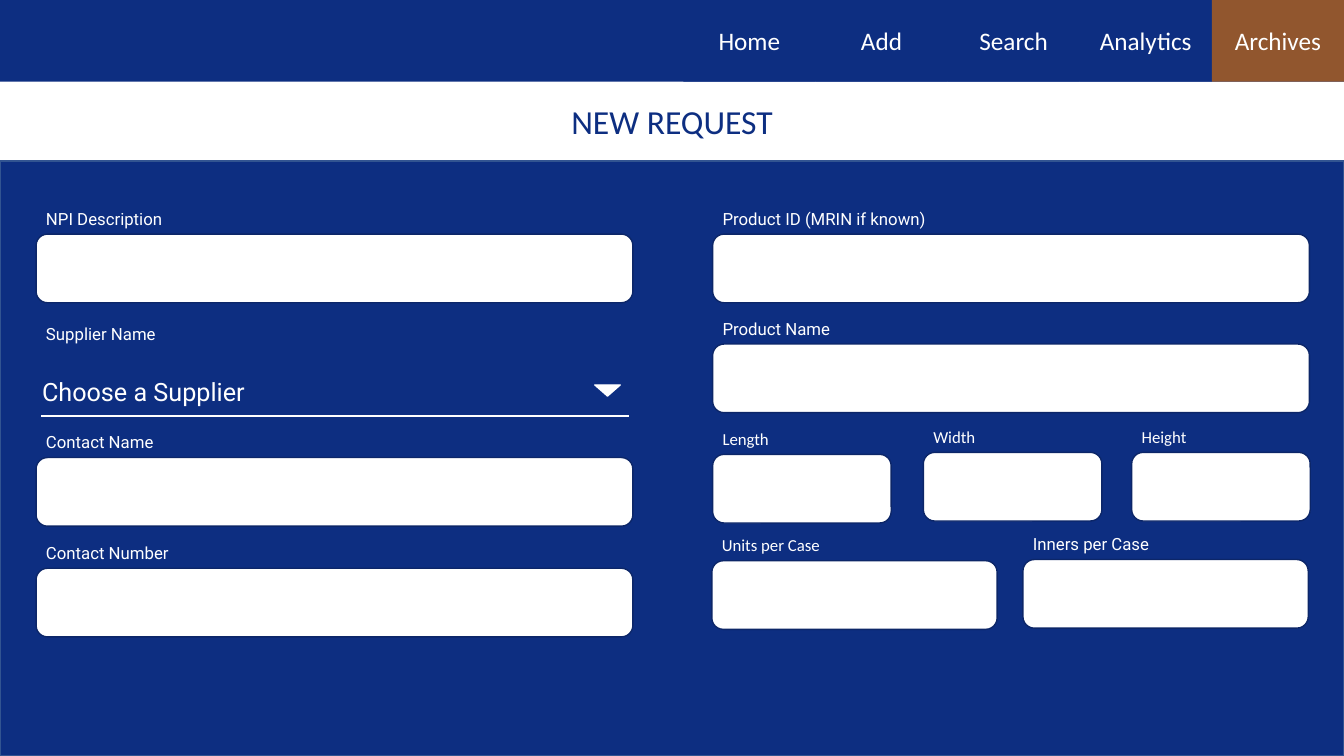
from dataclasses import dataclass

from pptx import Presentation
from pptx.dml.color import RGBColor
from pptx.enum.shapes import MSO_CONNECTOR as Connector, MSO_SHAPE as Shape
from pptx.enum.text import MSO_ANCHOR as Anchor, MSO_AUTO_SIZE as AutoSize, PP_ALIGN as Align
from pptx.oxml.xmlchemy import OxmlElement
from pptx.util import Cm, Pt

SLIDE_WIDTH, SLIDE_HEIGHT = 33.87, 19.05
NAV_WIDTH, NAV_HEIGHT = 3.33, 2.06
FORM_TOP = 4.06
LABEL_HEIGHT, INPUT_HEIGHT = 0.77, 1.73
LEFT_COLUMN, RIGHT_COLUMN = 0.91, 17.96
FULL, HALF, THIRD = 15.04, 7.19, 4.5


@dataclass(frozen=True)
class Theme:
    navy: str = "0D2E81"
    brown: str = "91562E"
    white: str = "FFFFFF"
    form_edge: str = "325491"
    input_edge: str = "0C2668"
    plain: str = "Calibri"
    form: str = "Roboto"
    label_size: int = 12
    nav_size: int = 18
    title_size: int = 24


class FormSlide:
    def __init__(self, slide, theme):
        self.slide = slide
        self.theme = theme

    def set_text(self, frame, text, size, font, color, align=Align.LEFT, **frame_format):
        frame_format = {"word_wrap": True, **frame_format}
        for name, value in frame_format.items():
            setattr(frame, name, value)
        paragraph = frame.paragraphs[0]
        paragraph.alignment = align
        run = paragraph.add_run()
        run.text = text
        for name, value in {"size": Pt(size), "name": font, "bold": False}.items():
            setattr(run.font, name, value)
        run.font.color.rgb = RGBColor.from_string(color)

    def title(self, text, *bounds):
        heading = self.slide.shapes.title
        for name, value in zip(("left", "top", "width", "height"), bounds):
            setattr(heading, name, Cm(value))
        self.set_text(heading.text_frame, text, self.theme.title_size, self.theme.plain,
                      self.theme.navy, Align.CENTER, vertical_anchor=Anchor.MIDDLE,
                      auto_size=AutoSize.NONE)

    def block(self, parent, kind, bounds, fill, edge=None):
        """Add a filled preset shape, outlined only when an edge colour is given."""
        block = parent.shapes.add_shape(kind, *map(Cm, bounds))
        block.shadow.inherit = False
        block.fill.solid()
        block.fill.fore_color.rgb = RGBColor.from_string(fill)
        if edge:
            block.line.color.rgb = RGBColor.from_string(edge)
            block.line.width = Pt(1)
        else:
            block.line.fill.background()
        return block

    def nav_item(self, text, left, fill):
        tab = self.block(self.slide, Shape.RECTANGLE, (left, 0, NAV_WIDTH, NAV_HEIGHT), fill)
        self.set_text(tab.text_frame, text, self.theme.nav_size, self.theme.plain,
                      self.theme.white, Align.CENTER, vertical_anchor=Anchor.MIDDLE)

    def label(self, parent, text, bounds, size, font):
        caption = parent.shapes.add_textbox(*map(Cm, bounds))
        self.set_text(caption.text_frame, text, size, font, self.theme.white,
                      auto_size=AutoSize.SHAPE_TO_FIT_TEXT)

    def field(self, text, left, top, width, font):
        """Add a caption grouped with the empty input box below it."""
        group = self.slide.shapes.add_group_shape()
        self.label(group, text, (left, top, width, LABEL_HEIGHT), self.theme.label_size, font)
        self.block(group, Shape.ROUNDED_RECTANGLE,
                   (left, top + LABEL_HEIGHT, width, INPUT_HEIGHT),
                   self.theme.white, self.theme.input_edge)

    def dropdown(self, text):
        group = self.slide.shapes.add_group_shape()
        underline = group.shapes.add_connector(
            Connector.STRAIGHT, *map(Cm, (1.04, 10.49, 15.85, 10.49)))
        underline.line.color.rgb = RGBColor.from_string(self.theme.white)
        underline.line.width = Pt(1.5)
        underline._element.spPr.append(OxmlElement("a:effectLst"))
        self.label(group, text, (0.81, 9.37, FULL, 1.02), self.theme.nav_size, self.theme.form)
        arrow = self.block(group, Shape.ISOSCELES_TRIANGLE, (14.99, 9.7, 0.64, 0.28),
                           self.theme.white, self.theme.white)
        arrow.rotation = 180


def main():
    deck = Presentation()
    deck.slide_width, deck.slide_height = Cm(SLIDE_WIDTH), Cm(SLIDE_HEIGHT)
    theme = Theme()
    page = FormSlide(deck.slides.add_slide(deck.slide_layouts[5]), theme)

    page.block(page.slide, Shape.RECTANGLE, (0, 0, SLIDE_WIDTH, NAV_HEIGHT), theme.navy)
    sections = ("Home", "Add", "Search", "Analytics", "Archives")
    nav_left = SLIDE_WIDTH - len(sections) * NAV_WIDTH
    for position, section in enumerate(sections):
        fill = theme.brown if section == "Archives" else theme.navy
        page.nav_item(section, nav_left + position * NAV_WIDTH, fill)

    page.title("NEW REQUEST", 0, NAV_HEIGHT, SLIDE_WIDTH, FORM_TOP - NAV_HEIGHT)
    page.block(page.slide, Shape.RECTANGLE,
               (0, FORM_TOP, SLIDE_WIDTH, SLIDE_HEIGHT - FORM_TOP), theme.navy, theme.form_edge)

    fields = (
        ("NPI Description", LEFT_COLUMN, 5.13, FULL, theme.form),
        ("Contact Name", LEFT_COLUMN, 10.76, FULL, theme.form),
        ("Contact Number", LEFT_COLUMN, 13.55, FULL, theme.form),
        ("Product ID (MRIN if known)", RIGHT_COLUMN, 5.13, FULL, theme.form),
        ("Product Name", RIGHT_COLUMN, 7.9, FULL, theme.form),
        ("Length", RIGHT_COLUMN, 10.68, THIRD, theme.plain),
        ("Width", 23.27, 10.63, THIRD, theme.plain),
        ("Height", 28.52, 10.63, THIRD, theme.plain),
        ("Units per Case", 17.94, 13.36, HALF, theme.plain),
        ("Inners per Case", 25.78, 13.33, HALF, theme.form),
    )
    for field in fields:
        page.field(*field)

    page.label(page.slide, "Supplier Name", (LEFT_COLUMN, 8.03, FULL, LABEL_HEIGHT),
               theme.label_size, theme.form)
    page.dropdown("Choose a Supplier")
    deck.save("out.pptx")


if __name__ == "__main__":
    main()
